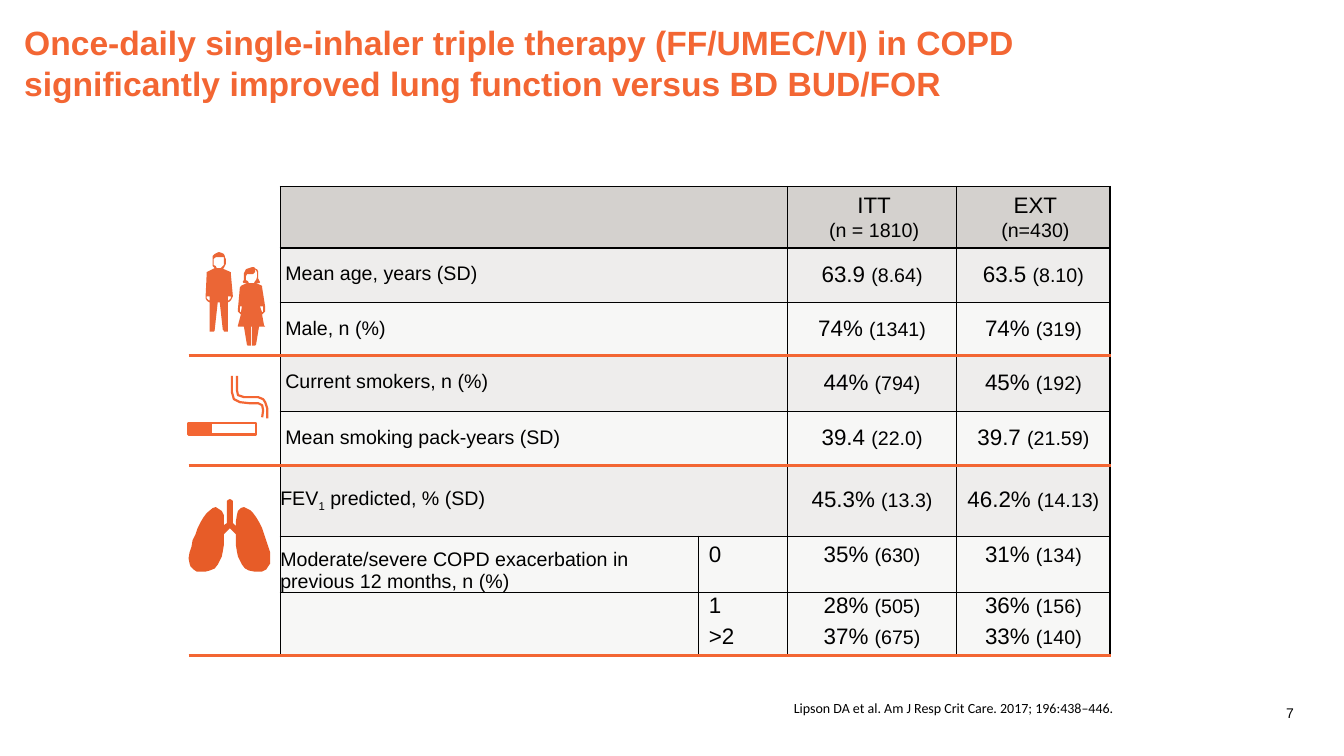
import pptx
import pptx.dml.color
import pptx.enum.text
import pptx.util
from lxml import etree
from pptx.oxml.ns import qn

Inches, Pt = pptx.util.Inches, pptx.util.Pt
ALIGN, ANCHOR = pptx.enum.text.PP_ALIGN, pptx.enum.text.MSO_ANCHOR
ORANGE, BLACK = "F36633", "000000"
HEADER, SHADE, PALE = "D4D1CE", "EEEDEC", "F7F7F6"

# Outlines: x,y points in hundredths of an inch, contours separated by "|"
MAN = """217,250 215,251 213,252 211,254 211,264 212,265 213,266 205,270 205,272 204,293 204,296
205,298 206,299 208,300 208,329 212,329 213,328 213,327 216,300 226,300 228,299 229,298 208,298
207,298 206,297 205,296 205,294 231,294 229,272 229,270 222,267 221,266 215,266 214,264 212,263
212,257 213,256 214,255 223,255 223,254 222,252 220,251
| 226,300 218,300 221,327 222,328 222,329 226,329 | 226,294 208,294 208,298 226,298
| 231,294 229,294 229,296 228,297 227,298 229,298 230,296
| 223,255 222,255 222,263 221,264 219,266 222,266 223,264 224,262 224,257"""
WOMAN = """249,324 242,324 245,342 246,343 249,343 | 257,324 250,324 250,343 253,343 254,342
| 250,265 244,267 242,271 242,278 241,279 241,280 242,281 245,281 240,283 239,284 238,285 236,307
236,309 237,310 238,311 239,312 236,323 236,324 262,324 263,324 262,323 260,312 261,311 262,310
239,310 238,309 238,304 263,304 260,285 260,284 259,283 254,281 247,281 246,279 244,278 244,274
245,272 251,272 252,271 253,270 253,267 255,267 254,267 252,265
| 258,304 240,304 239,310 260,310 | 263,304 261,304 261,309 260,310 262,310 263,309
| 255,267 253,267 254,268 255,270 255,275 254,278 253,279 252,281 257,281 258,280 256,276 256,269"""
LUNGS = """268,554 268,548 266,542 264,536 262,530 260,524 257,518 254,513 251,509 248,506 242,503
239,504 236,507 235,511 234,517 234,522 231,519 231,497 230,496 228,495 226,496 225,497 225,519
222,521 222,511 220,507 214,503 211,504 205,509 202,513 199,518 196,524 194,530 191,536 190,542
188,548 187,554 188,559 189,562 192,565 195,567 204,567 208,566 213,564 216,560 218,556 220,552
221,547 222,541 222,530 228,524 234,530 234,541 235,547 236,552 238,556 240,560 243,564 247,566
252,567 260,567 264,565 266,562 268,559"""
ASH = "187,420 209,420 209,431 187,431"
CIGARETTE = ASH + " | 209,420 254,420 254,431 209,431"
SMOKE = """230,373 230,389 232,396 238,399 247,400 256,400 260,402 261,407 260,414
| 235,373 235,387 236,392 242,394 256,394 261,396 263,399 265,405 265,415"""

COLUMN_WIDTHS = [0.91, 4.15, 0.88, 1.68, 1.52]
ROW_HEIGHTS = [0.61, 0.54, 0.53, 0.55, 0.54, 0.7, 0.33, 0.27, 0.32]
SECTION_ENDS = (2, 4, 8)
# Label, exacerbation count, ITT value, EXT value
PATIENT_ROWS = [
    ("Mean age, years (SD)", "", ("63.9", "(8.64)"), ("63.5", "(8.10)")),
    ("Male, n (%)", "", ("74%", "(1341)"), ("74%", "(319)")),
    ("Current smokers, n (%)", "", ("44%", "(794)"), ("45%", "(192)")),
    ("Mean smoking pack-years (SD)", "", ("39.4", "(22.0)"), ("39.7", "(21.59)")),
    ("FEV", "", ("45.3%", "(13.3)"), ("46.2%", "(14.13)")),
    ("Moderate/severe COPD exacerbation in previous 12 months, n (%)",
     "0", ("35%", "(630)"), ("31%", "(134)")),
    ("", "1", ("28%", "(505)"), ("36%", "(156)")),
    ("", ">2", ("37%", "(675)"), ("33%", "(140)")),
]
LABEL_TOPS = [0.15, 0.15, 0.15, 0.15, 0.22, 0.12, 0, 0]
VALUE_TOPS = [0.13, 0.13, 0.14, 0.13, 0.21, 0.05, 0, 0]


def rgb(hex_code):
    return pptx.dml.color.RGBColor.from_string(hex_code)


class SlideBuilder:
    def __init__(self, slide):
        self.slide = slide
        self.shapes = slide.shapes

    def add_run(self, paragraph, text, size, color=BLACK, font="Arial", bold=False):
        run = paragraph.add_run()
        run.text = text
        run.font.size, run.font.name, run.font.bold = Pt(size), font, bold
        run.font.color.rgb = rgb(color)
        return run

    def set_margins(self, box, left, top, right, bottom):
        box.margin_left, box.margin_top = Inches(left), Inches(top)
        box.margin_right, box.margin_bottom = Inches(right), Inches(bottom)

    def title(self, text, left, top, width, height):
        heading = self.shapes.title
        heading.left, heading.top = Inches(left), Inches(top)
        heading.width, heading.height = Inches(width), Inches(height)
        frame = heading.text_frame
        frame.word_wrap = True
        frame.auto_size = pptx.enum.text.MSO_AUTO_SIZE.NONE
        frame.vertical_anchor = ANCHOR.BOTTOM
        self.set_margins(frame, 0, 0, 0, 0.79)
        frame.paragraphs[0].alignment = ALIGN.LEFT
        self.add_run(frame.paragraphs[0], text, 24, ORANGE, bold=True)

    def note(self, text, left, top, width, height, font="Arial", margin=None):
        """Small right-aligned text."""
        box = self.shapes.add_textbox(Inches(left), Inches(top), Inches(width), Inches(height))
        frame = box.text_frame
        frame.word_wrap = True
        if margin:
            self.set_margins(frame, margin, margin, margin, margin)
        frame.paragraphs[0].alignment = ALIGN.RIGHT
        self.add_run(frame.paragraphs[0], text, 10, font=font)

    def outline(self, contours, fill=None, line=None, close=True):
        builder = None
        for contour in contours.split("|"):
            points = [tuple(map(int, pair.split(","))) for pair in contour.split()]
            if builder is None:
                builder = self.shapes.build_freeform(*points[0], scale=Inches(0.01))
            else:
                builder.move_to(*points[0])
            builder.add_line_segments(points[1:], close=close)
        drawing = builder.convert_to_shape()
        drawing.shadow.inherit = False
        if fill:
            drawing.fill.solid()
            drawing.fill.fore_color.rgb = rgb(fill)
        else:
            drawing.fill.background()
        if line:
            drawing.line.color.rgb = rgb(line)
            drawing.line.width = Pt(1.56)
        else:
            drawing.line.fill.background()

    def table(self, left, top, widths, heights):
        frame = self.shapes.add_table(len(heights), len(widths), Inches(left), Inches(top),
                                      Inches(sum(widths)), Inches(sum(heights)))
        table = frame.table
        table.first_row = table.horz_banding = False
        for column, width in zip(table.columns, widths):
            column.width = Inches(width)
        for row, height in zip(table.rows, heights):
            row.height = Inches(height)
        return table

    def borders(self, cell, **colors):
        """Border colour per side (L, R, T, B); None hides that side."""
        properties = cell._tc.get_or_add_tcPr()
        for position, (side, color) in enumerate(colors.items()):
            width = Pt(2.25 if color == ORANGE else 1)
            line = etree.Element(qn(f"a:ln{side}"), w=str(int(width)))
            if color:
                solid = etree.SubElement(line, qn("a:solidFill"))
                etree.SubElement(solid, qn("a:srgbClr"), val=color)
            else:
                etree.SubElement(line, qn("a:noFill"))
            properties.insert(position, line)

    def cell(self, cell, runs, top=0, left=0, align=ALIGN.LEFT, spacing=None):
        self.set_margins(cell, left, top, 0, 0)
        paragraph = cell.text_frame.paragraphs[0]
        paragraph.alignment = align
        if spacing:
            paragraph.line_spacing = Pt(spacing)
        return [self.add_run(paragraph, text, size) for text, size in runs]


def border_below(row, column):
    if column == 0:
        return None if row < 0 else ORANGE
    if row in SECTION_ENDS:
        return ORANGE
    return None if row == 7 else BLACK


def patient_table(builder):
    table = builder.table(1.87, 1.85, COLUMN_WIDTHS, ROW_HEIGHTS)
    for row in range(len(ROW_HEIGHTS)):
        for column in range(len(COLUMN_WIDTHS)):
            cell = table.cell(row, column)
            builder.cell(cell, [], spacing=18)
            if column == 0:
                cell.fill.background()
            else:
                cell.fill.solid()
                shade = HEADER if row == 0 else SHADE if row in (1, 3, 5) else PALE
                cell.fill.fore_color.rgb = rgb(shade)
            builder.borders(cell, L=BLACK if column else None, R=BLACK,
                            T=border_below(row - 1, column), B=border_below(row, column))
    for first, last in ((0, 2), (3, 4), (5, 8)):
        table.cell(first, 0).merge(table.cell(last, 0))
    for row in range(6):
        table.cell(row, 1).merge(table.cell(row, 2))

    for column, (group, count) in enumerate((("ITT", "(n = 1810)"), ("EXT", "(n=430)")), 3):
        header = table.cell(0, column)
        builder.cell(header, [(group, 16)], 0.05, 0.04, ALIGN.CENTER, 19.2)
        size_line = header.text_frame.add_paragraph()
        size_line.alignment, size_line.line_spacing = ALIGN.CENTER, Pt(16.8)
        builder.add_run(size_line, count, 14)

    for row, (label, count, *values) in enumerate(PATIENT_ROWS, 1):
        top = VALUE_TOPS[row - 1]
        spacing = 18.9 if row == 6 else 18.4
        if label:
            label_cell = table.cell(row, 1)
            label_cell.text_frame.paragraphs[0].line_spacing = 1.0
            runs = [(label, 14)]
            if label == "FEV":
                runs += [("1", 14), (" predicted, % (SD)", 14)]
            added = builder.cell(label_cell, runs, LABEL_TOPS[row - 1], 0.05 if row < 5 else 0)
            if label == "FEV":
                added[1].font._element.set("baseline", "-25000")
        if count:
            builder.cell(table.cell(row, 2), [(count, 16)], top, 0.1, spacing=spacing)
        for column, (main_value, detail) in enumerate(values, 3):
            builder.cell(table.cell(row, column), [(main_value + " ", 16), (detail, 14)],
                         top, align=ALIGN.CENTER, spacing=spacing)


def main():
    deck = pptx.Presentation()
    deck.slide_width, deck.slide_height = Inches(13.33), Inches(7.5)
    builder = SlideBuilder(deck.slides.add_slide(deck.slide_layouts[5]))
    builder.title("Once-daily single-inhaler triple therapy (FF/UMEC/VI) in COPD "
                  "significantly improved lung function versus BD BUD/FOR", 0.24, 1.23, 11.05, 0.37)
    for person in (MAN, WOMAN):
        builder.outline(person, fill="EB6636")
    patient_table(builder)
    builder.outline(ASH, fill=ORANGE)
    builder.outline(CIGARETTE, line=ORANGE)
    builder.outline(SMOKE, line=ORANGE, close=False)
    builder.note("Lipson DA et al. Am J Resp Crit Care. 2017; 196:438–446.",
                 2.3, 6.86, 8.94, 0.54, font="Calibri", margin=0.2)
    builder.note("7", 12.34, 6.94, 0.59, 0.3)
    builder.outline(LUNGS, fill="E75C28")
    deck.save("out.pptx")


if __name__ == "__main__":
    main()
